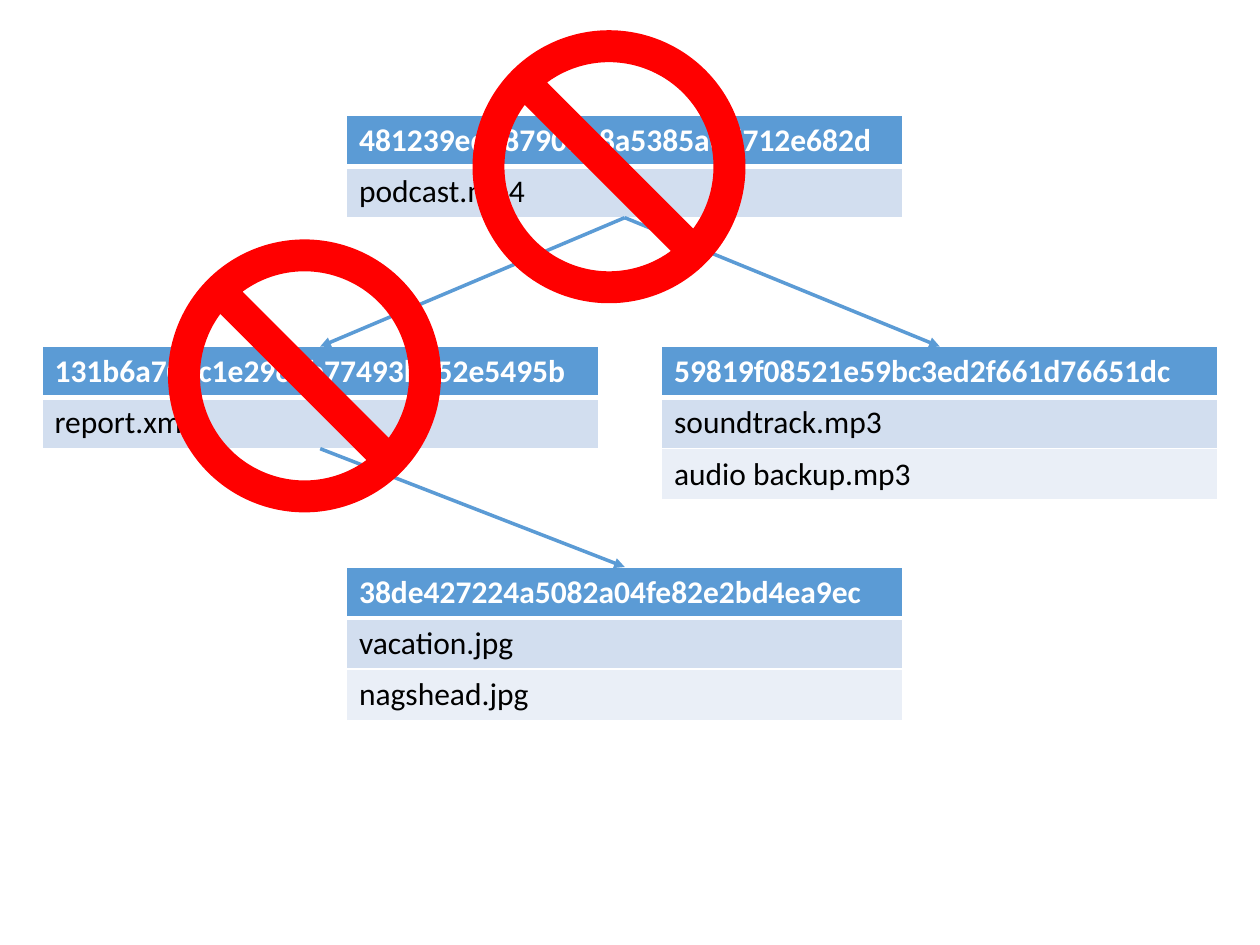
from lxml.etree import SubElement
from pptx import Presentation
from pptx.dml.color import RGBColor
from pptx.enum.shapes import MSO_CONNECTOR, MSO_SHAPE
from pptx.oxml.ns import qn
from pptx.util import Pt

NODES = {
    "audio": (378, 198, ["59819f08521e59bc3ed2f661d76651dc", "soundtrack.mp3", "audio backup.mp3"]),
    "root": (198, 66, ["481239ed08790728a5385a6d712e682d", "podcast.mp4"]),
    "report": (24, 198, ["131b6a703c1e2968b77493b152e5495b", "report.xml"]),
    "photos": (198, 324, ["38de427224a5082a04fe82e2bd4ea9ec", "vacation.jpg", "nagshead.jpg"]),
}
LINKS = [("root", "report"), ("root", "audio"), ("report", "photos")]
REVOKED = [(270, 17.3), (96, 136.8)]
WIDTH, ROW_H, SIGN = 318, 29.2, 156
BLUE, RED, WHITE, BLACK = "5B9BD5", "FF0000", "FFFFFF", "000000"
FILLS = [BLUE, "D2DEEF", "EAEFF7"]


def paint(fmt, color):
    fmt.solid()
    fmt.fore_color.rgb = RGBColor.from_string(color)


def add_borders(cell, top, bottom):
    tcPr = cell._tc.get_or_add_tcPr()
    for side, width in (("L", 1), ("R", 1), ("T", top), ("B", bottom)):
        ln = SubElement(tcPr, qn(f"a:ln{side}"), w=str(Pt(width)))
        SubElement(SubElement(ln, qn("a:solidFill")), qn("a:srgbClr"), val=WHITE)


def add_node(s, left, top, rows):
    table = s.shapes.add_table(len(rows), 1, Pt(left), Pt(top), Pt(WIDTH), Pt(ROW_H * len(rows))).table
    for i, text in enumerate(rows):
        table.rows[i].height = Pt(ROW_H)
        cell = table.cell(i, 0)
        add_borders(cell, 3 if i == 1 else 1, 3 if i == 0 else 1)
        paint(cell.fill, FILLS[i])
        cell.text = text
        font = cell.text_frame.paragraphs[0].font
        font.name, font.size, font.bold = "Calibri", Pt(18), i == 0
        paint(font.fill, WHITE if i == 0 else BLACK)


def add_link(s, parent, child):
    left, top, rows = NODES[parent]
    child_left, child_top, _ = NODES[child]
    link = s.shapes.add_connector(
        MSO_CONNECTOR.STRAIGHT,
        Pt(left + WIDTH / 2), Pt(top + ROW_H * len(rows)),
        Pt(child_left + WIDTH / 2), Pt(child_top),
    )
    link.line.width = Pt(2)
    paint(link.line.fill, BLUE)
    SubElement(link.line._get_or_add_ln(), qn("a:tailEnd"), type="triangle")
    SubElement(link._element.spPr, qn("a:effectLst"))


def add_sign(s, left, top):
    sign = s.shapes.add_shape(MSO_SHAPE.NO_SYMBOL, Pt(left), Pt(top), Pt(SIGN), Pt(SIGN))
    sign.adjustments[0] = 0.117
    sign.shadow.inherit = False
    paint(sign.fill, RED)
    sign.line.fill.background()


def main():
    prs = Presentation()
    prs.slide_width, prs.slide_height = Pt(720), Pt(540)
    s = prs.slides.add_slide(prs.slide_layouts[6])
    for node in NODES.values():
        add_node(s, *node)
    for link in LINKS:
        add_link(s, *link)
    for place in REVOKED:
        add_sign(s, *place)
    prs.save("out.pptx")


if __name__ == "__main__":
    main()
